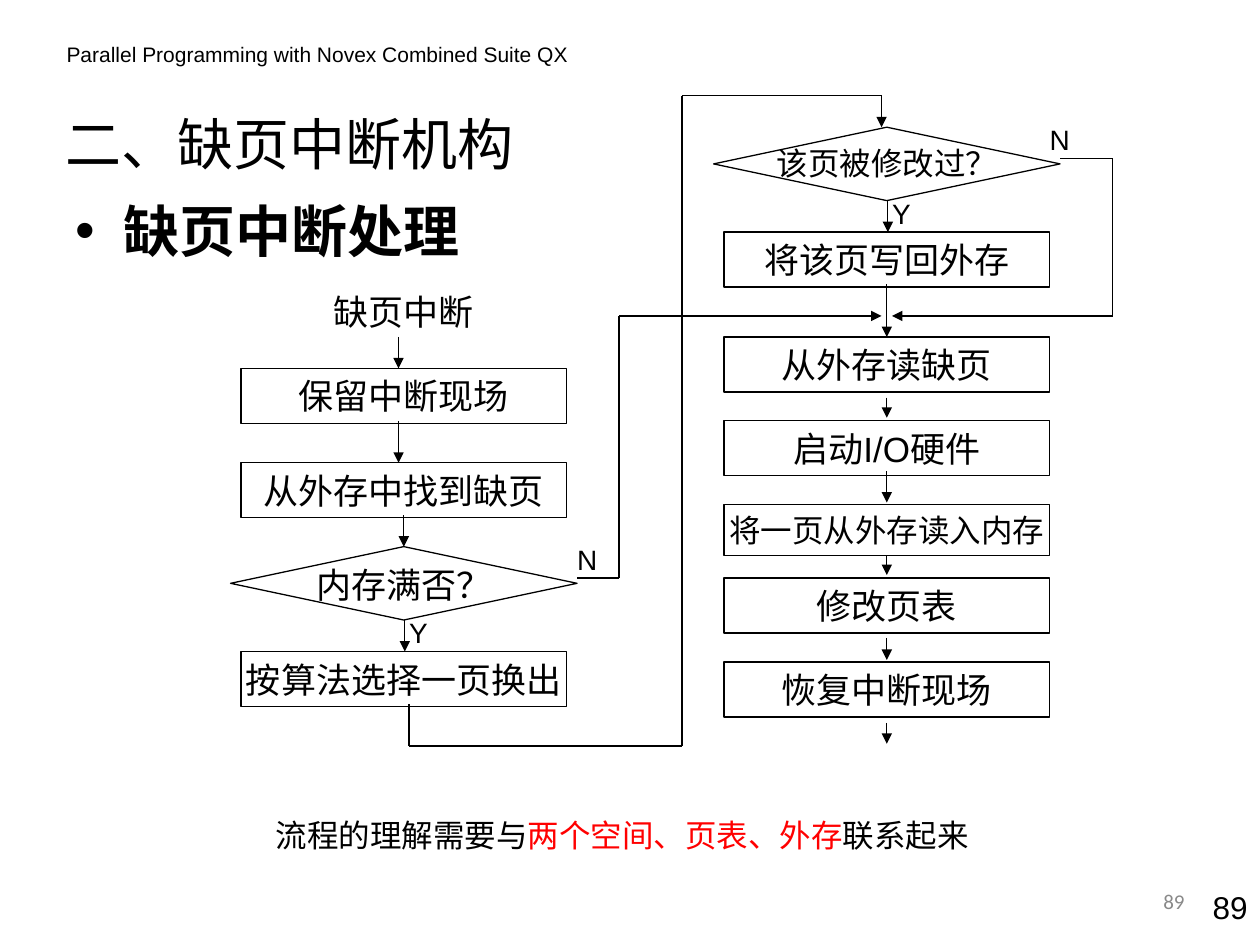
from dataclasses import dataclass
from itertools import pairwise

from lxml.etree import SubElement
from pptx import Presentation
from pptx.dml.color import RGBColor as Color
from pptx.enum.shapes import MSO_CONNECTOR as Connector, MSO_SHAPE as Preset
from pptx.enum.text import MSO_ANCHOR as Anchor, PP_ALIGN as Align
from pptx.oxml.ns import qn
from pptx.util import Inches, Pt


@dataclass(frozen=True)
class Theme:
    ink: Color = Color(0, 0, 0)
    accent: Color = Color(255, 0, 0)
    muted: Color = Color(0x89, 0x89, 0x89)
    latin: str = "Arial"
    chinese: str = "Noto Sans CJK SC"
    number: str = "Calibri"
    heading: int = 32
    step: int = 20
    body: int = 18
    label: int = 16
    small: int = 12
    line: float = 0.75


@dataclass(frozen=True)
class Grid:
    left: float
    top: float
    width: float
    height: float
    columns: float
    rows: float

    def point(self, column, row):
        return (Inches(self.left + self.width * column / self.columns),
                Inches(self.top + self.height * row / self.rows))

    def box(self, column, row, columns, rows):
        return (*self.point(column, row),
                Inches(self.width * columns / self.columns),
                Inches(self.height * rows / self.rows))


THEME = Theme()
WIDTH, HEIGHT = 10, 7.5
PAGE = Grid(0, 0, WIDTH, HEIGHT, WIDTH, HEIGHT)
FLOW = Grid(1.83, 0.76, 7, 5.16, 84, 62)
STEP_COLUMNS, STEP_ROWS = 31, 5.25
LEFT_COLUMN, RIGHT_COLUMN = 1, 47

LEFT_STEPS = [(26, "保留中断现场"), (35, "从外存中找到缺页"), (53, "按算法选择一页换出")]
RIGHT_STEPS = [(13, "将该页写回外存"), (23, "从外存读缺页"), (31, "启动I/O硬件"),
               (46, "修改页表"), (54, "恢复中断现场")]
DOWN_ARROWS = [
    (16, 23, 26), (16, 31, 35), (16.5, 40, 43), (16.6, 50, 53),
    (62.6, 10, 13), (62.5, 18, 23), (62.5, 28.8, 30.7), (62.5, 35.8, 38.8),
    (62.5, 43.8, 45.7), (62.5, 51.7, 53.8), (62.5, 59.8, 61.8),
]
ROUTES = [
    [(17, 58), (17, 62), (43, 62), (43, 0), (62, 0), (62, 3)],
    [(33, 46), (37, 46), (37, 21), (62, 21)],
    [(79, 6), (84, 6), (84, 21), (63, 21)],
]
BRANCH_LABELS = [(78, 2, "N"), (63, 9, "Y"), (33, 42, "N"), (17, 49, "Y")]


def style_run(run, size, color, latin, bold=False):
    run.font.size = Pt(size)
    run.font.bold = bold
    run.font.name = latin
    run.font.color.rgb = color
    SubElement(run.font._element, qn("a:ea"), typeface=THEME.chinese)


def write(shape, pieces, size, latin=THEME.latin, align=Align.LEFT,
          anchor=Anchor.TOP, inset=0.1, bold=False):
    frame = shape.text_frame
    frame.word_wrap = True
    frame.vertical_anchor = anchor
    frame.margin_left = frame.margin_right = Inches(inset)
    paragraph = frame.paragraphs[0]
    paragraph.alignment = align
    for text, color in pieces:
        run = paragraph.add_run()
        run.text = text
        style_run(run, size, color, latin, bold)
    return paragraph


def add_text(slide, box, text, size, color=THEME.ink, **options):
    return write(slide.shapes.add_textbox(*box), [(text, color)], size, **options)


def add_outline(slide, preset, box):
    shape = slide.shapes.add_shape(preset, *box)
    shape.shadow.inherit = False
    shape.fill.background()
    shape.line.color.rgb = THEME.ink
    shape.line.width = Pt(THEME.line)
    return shape


def add_step(slide, grid, column, row, text, size=THEME.step, rows=STEP_ROWS):
    shape = add_outline(slide, Preset.RECTANGLE, grid.box(column, row, STEP_COLUMNS, rows))
    write(shape, [(text, THEME.ink)], size, align=Align.CENTER, anchor=Anchor.MIDDLE, inset=0)


def add_decision(slide, grid, column, row, text, size):
    add_text(slide, grid.box(column, row + 1, STEP_COLUMNS, STEP_ROWS), text, size,
             align=Align.CENTER, inset=0)
    add_outline(slide, Preset.DIAMOND, grid.box(column - 1, row, STEP_COLUMNS + 2, 7))


def add_route(slide, grid, points):
    for start, end in pairwise(points):
        line = slide.shapes.add_connector(Connector.STRAIGHT, *grid.point(*start),
                                          *grid.point(*end))
        line.line.color.rgb = THEME.ink
        line.line.width = Pt(THEME.line)
        SubElement(line._element.spPr, qn("a:effectLst"))
    SubElement(line.line._get_or_add_ln(), qn("a:tailEnd"), type="triangle")


def build_heading(slide, grid):
    add_text(slide, grid.box(0.43, 0.28, 5, 0.3),
             "Parallel Programming with Novex Combined Suite QX", THEME.small)
    add_text(slide, grid.box(0.42, 0.76, 5, 0.75), "二、缺页中断机构",
             THEME.heading, latin=THEME.chinese, anchor=Anchor.MIDDLE)
    paragraph = add_text(slide, grid.box(0.5, 1.51, 4.8, 0.75), "缺页中断处理",
                         THEME.heading, latin=THEME.chinese, bold=True)
    properties = paragraph._p.get_or_add_pPr()
    properties.set("marL", str(Inches(0.38)))
    properties.set("indent", str(-Inches(0.38)))
    SubElement(properties, qn("a:buFont"), typeface=THEME.latin)
    SubElement(properties, qn("a:buChar"), char="•")


def build_flowchart(slide, grid):
    add_text(slide, grid.box(LEFT_COLUMN, 18, STEP_COLUMNS, STEP_ROWS), "缺页中断",
             THEME.step, align=Align.CENTER, inset=0)
    for column, steps in ((LEFT_COLUMN, LEFT_STEPS), (RIGHT_COLUMN, RIGHT_STEPS)):
        for row, text in steps:
            add_step(slide, grid, column, row, text)
    add_step(slide, grid, RIGHT_COLUMN, 39, "将一页从外存读入内存", THEME.body, 4.85)
    add_decision(slide, grid, LEFT_COLUMN, 43, "内存满否？", THEME.step)
    add_decision(slide, grid, RIGHT_COLUMN, 3, "该页被修改过？", THEME.body)
    for column, start, end in DOWN_ARROWS:
        add_route(slide, grid, [(column, start), (column, end)])
    for points in ROUTES:
        add_route(slide, grid, points)
    for column, row, text in BRANCH_LABELS:
        add_text(slide, grid.box(column, row, 4, 4.45), text, THEME.label, inset=0)


def build_footer(slide, grid):
    write(slide.shapes.add_textbox(*grid.box(2.09, 6.43, 6.77, 0.4)),
          [("流程的理解需要与", THEME.ink), ("两个空间、页表、外存", THEME.accent),
           ("联系起来", THEME.ink)], THEME.body)
    add_text(slide, grid.box(9.33, 7, 0.67, 0.4), "89", THEME.body, align=Align.RIGHT)
    add_text(slide, grid.box(7.17, 6.95, 2.33, 0.4), "89", THEME.small, THEME.muted,
             latin=THEME.number, align=Align.RIGHT, anchor=Anchor.MIDDLE)


def main():
    presentation = Presentation()
    presentation.slide_width, presentation.slide_height = Inches(WIDTH), Inches(HEIGHT)
    slide = presentation.slides.add_slide(presentation.slide_layouts[6])
    build_heading(slide, PAGE)
    build_flowchart(slide, FLOW)
    build_footer(slide, PAGE)
    presentation.save("out.pptx")


if __name__ == "__main__":
    main()
